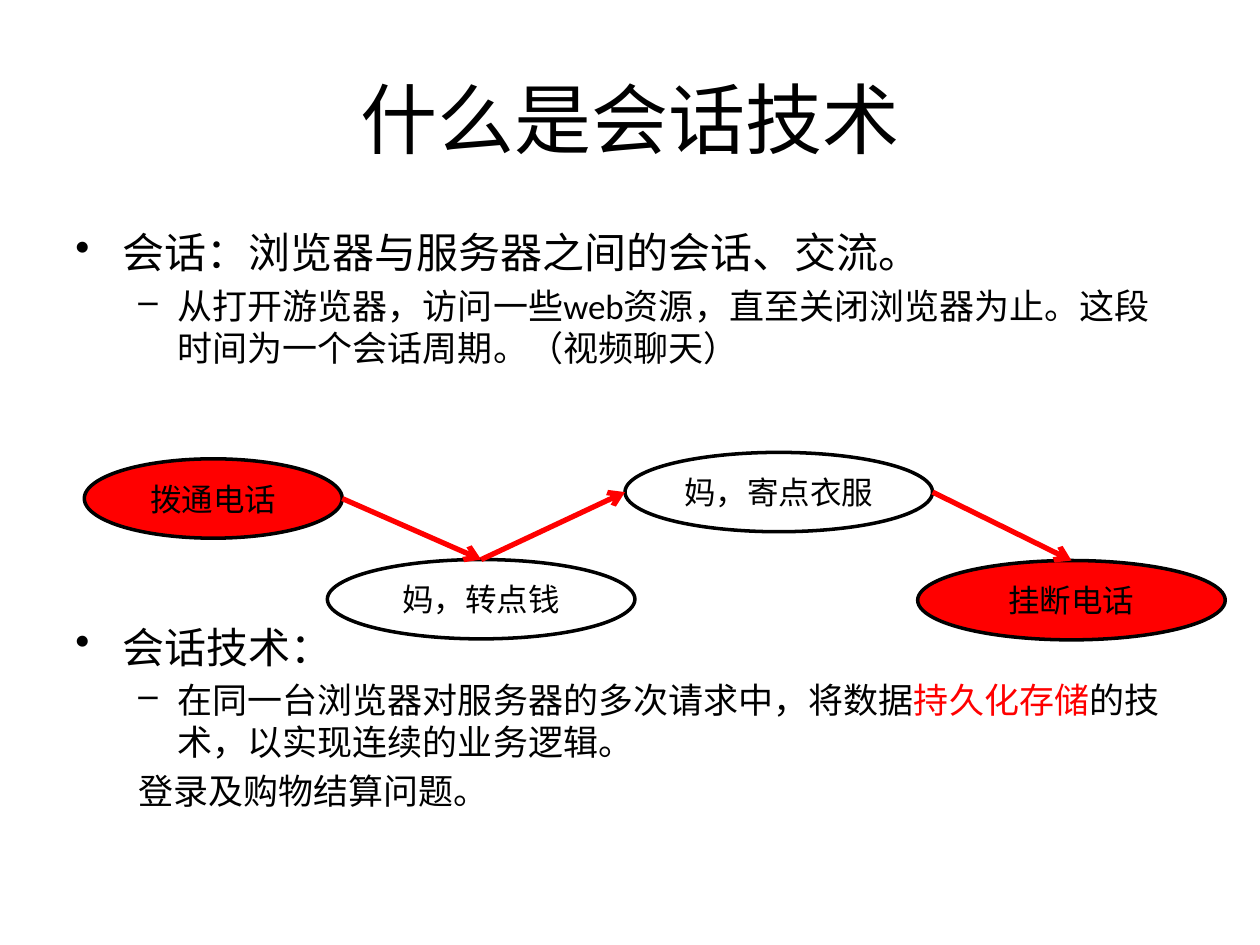
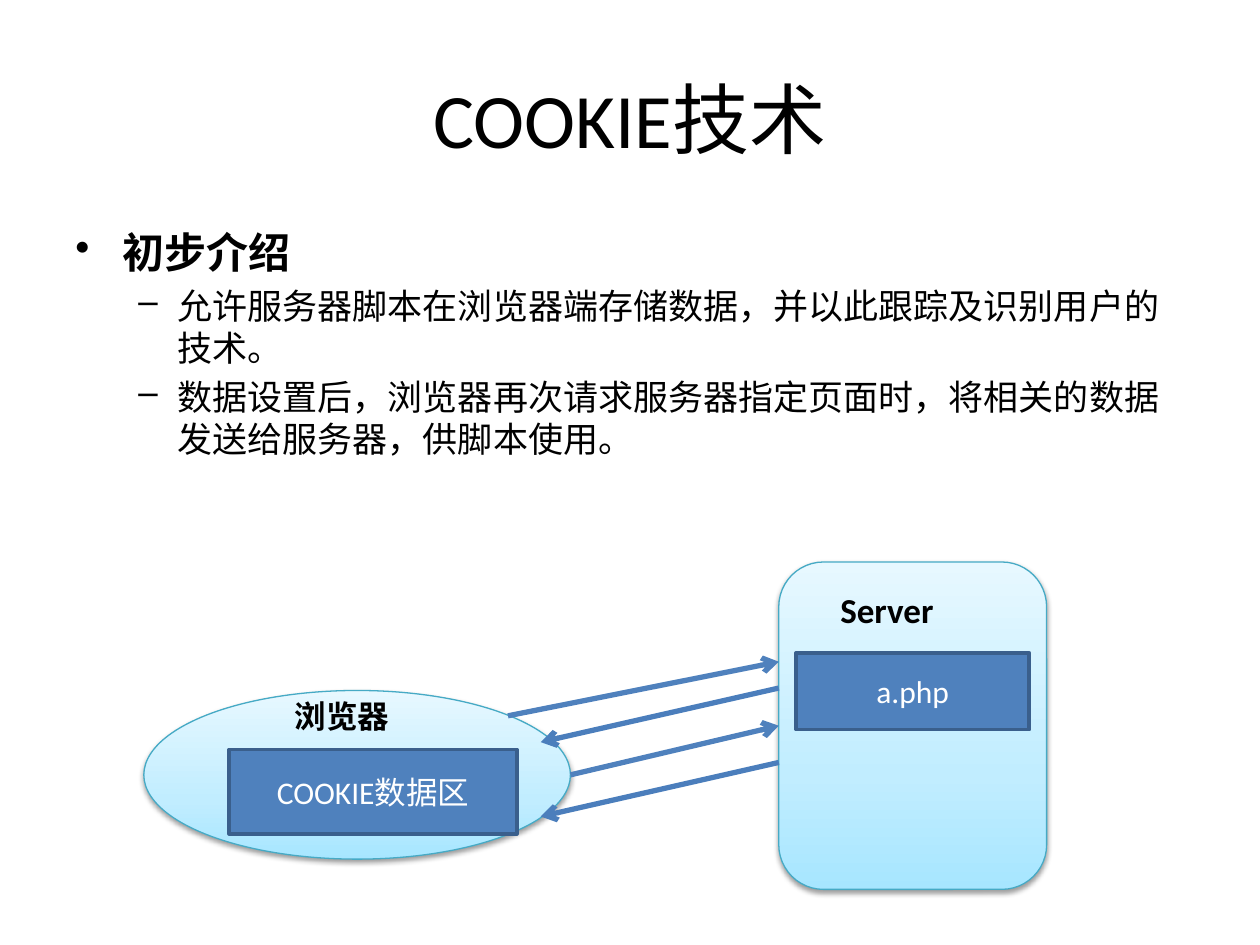
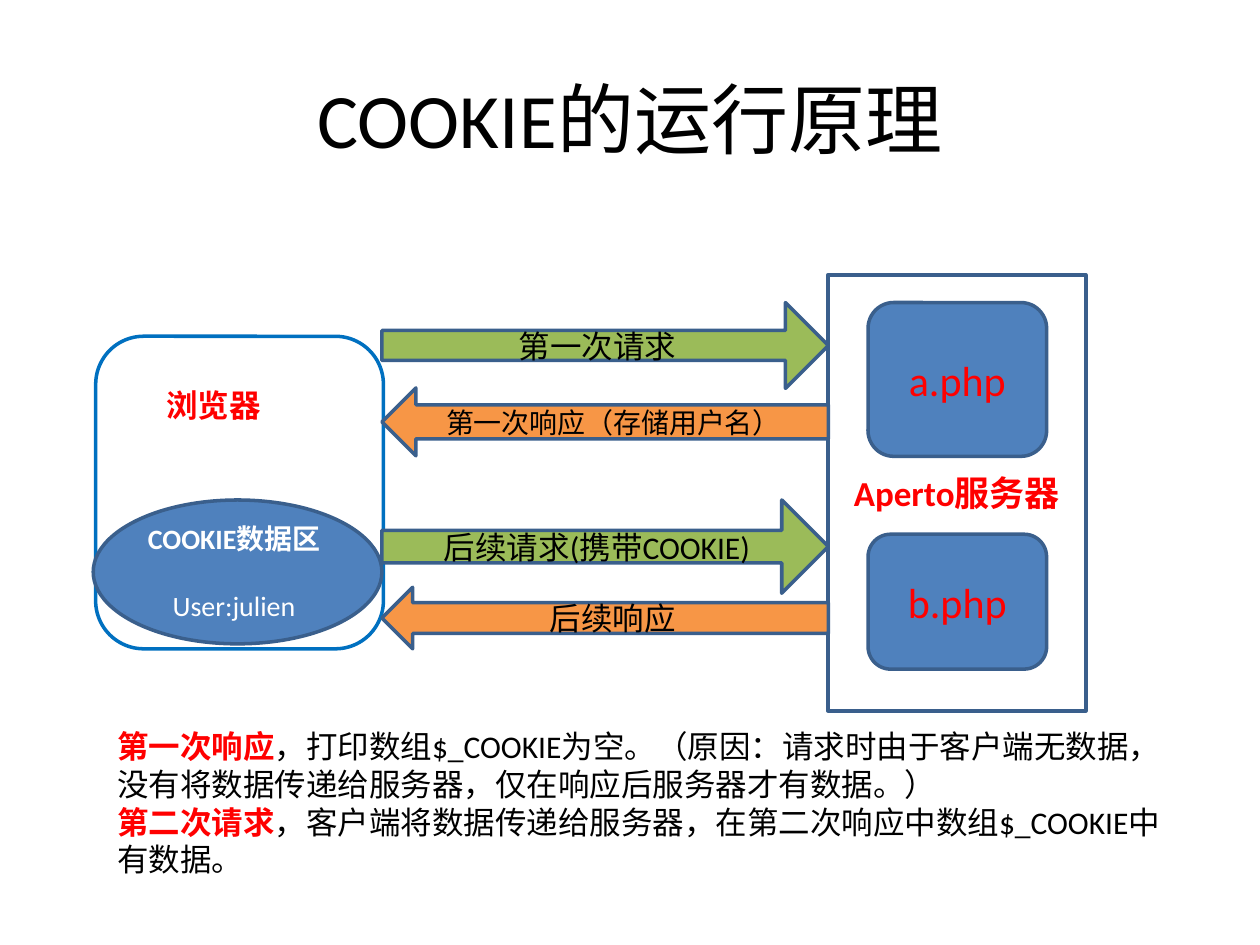
from lxml import etree
from copy import deepcopy
from pptx import Presentation
from pptx.dml.color import RGBColor
from pptx.enum.shapes import MSO_CONNECTOR, MSO_SHAPE as Kind
from pptx.enum.text import MSO_ANCHOR, PP_ALIGN as Align
from pptx.oxml.ns import qn
from pptx.util import Cm, Pt

FONT = "Calibri"
COLORS = {
    "black": "000000", "white": "FFFFFF", "red": "FF0000",
    "blue": "4F81BD", "dark blue": "3A5F8C", "mid blue": "4B7EBC",
    "bright blue": "0070C0", "green": "9BBB59", "orange": "F79646",
    "teal": "46AAC5",
}
GLASS_STOPS = [(0, "A7E6FF"), (0.35, "C1EDFF"), (1, "E7F8FF")]


def style(paragraph, size, color="black", bold=False, align=None):
    """Give a whole paragraph its font and, if named, its alignment."""
    font = paragraph.font
    font.name, font.size, font.bold = FONT, Pt(size), bold
    font.color.rgb = RGBColor.from_string(COLORS[color])
    if align is not None:
        paragraph.alignment = align


def add_shape(slide, kind, box, fill, line, text="", size=18, color="black",
              bold=False, width=2):
    """Add a flat preset shape with centred text; box is in centimetres."""
    shape = slide.shapes.add_shape(kind, *map(Cm, box))
    shape.shadow.inherit = False
    shape.fill.solid()
    shape.fill.fore_color.rgb = RGBColor.from_string(COLORS[fill])
    shape.line.color.rgb = RGBColor.from_string(COLORS[line])
    shape.line.width = Pt(width)
    if text:
        shape.text_frame.text = text
        style(shape.text_frame.paragraphs[0], size, color, bold, Align.CENTER)
    return shape


presentation = Presentation()
presentation.slide_width, presentation.slide_height = Cm(25.4), Cm(19.05)
blank = presentation.slide_layouts[6]
session, cookie, workflow = [presentation.slides.add_slide(blank) for _ in range(3)]

# Titles
for slide, title in [(session, "什么是会话技术"), (cookie, "COOKIE技术"),
                     (workflow, "COOKIE的运行原理")]:
    frame = slide.shapes.add_textbox(Cm(1.27), Cm(1.32), Cm(22.86), Cm(3.18)).text_frame
    frame.word_wrap = True
    frame.text = title
    style(frame.paragraphs[0], 44, align=Align.CENTER)

# Bulleted bodies: level, bullet, runs, bold, space before in points
bodies = [
    (session, [
        (0, "•", [("会话：浏览器与服务器之间的会话、交流。", "black")], False, 4.8),
        (1, "–", [("从打开游览器，访问一些web资源，直至关闭浏览器为止。"
                   "这段时间为一个会话周期。（视频聊天）", "black")], False, 4),
        (0, "•", [("会话技术：", "black")], False, 144.5),
        (1, "–", [("在同一台浏览器对服务器的多次请求中，将数据", "black"),
                  ("持久化存储", "red"),
                  ("的技术，以实现连续的业务逻辑。", "black")], False, 4),
        (1, "", [("登录及购物结算问题。", "black")], False, 4),
    ]),
    (cookie, [
        (0, "•", [("初步介绍", "black")], True, 4.8),
        (1, "–", [("允许服务器脚本在浏览器端存储数据，"
                   "并以此跟踪及识别用户的技术。", "black")], False, 4),
        (1, "–", [("数据设置后，浏览器再次请求服务器指定页面时，"
                   "将相关的数据发送给服务器，供脚本使用。", "black")], False, 4),
    ]),
]
LEVELS = [(24, 0.95, 0.95), (20, 2.06, 0.79)]  # size, left margin, hanging indent
for slide, items in bodies:
    frame = slide.shapes.add_textbox(Cm(1.27), Cm(4.45), Cm(22.86), Cm(12.57)).text_frame
    frame.word_wrap = True
    for index, (level, bullet, runs, bold, space) in enumerate(items):
        paragraph = frame.add_paragraph() if index else frame.paragraphs[0]
        size, margin, hanging = LEVELS[level]
        paragraph.level = level
        paragraph.space_before = Pt(space)
        style(paragraph, size, bold=bold)
        for text, color in runs:
            run = paragraph.add_run()
            run.text = text
            if color != "black":
                run.font.color.rgb = RGBColor.from_string(COLORS[color])
        properties = paragraph._p.get_or_add_pPr()
        properties.set("marL", str(Cm(margin if bullet else 1.27)))
        properties.set("indent", str(-Cm(hanging) if bullet else 0))
        if bullet:
            mark = etree.Element(qn("a:buChar"), char=bullet)
            properties.find(qn("a:defRPr")).addprevious(mark)

# Session: a phone call as a chain of ellipses
dial, money, clothes, hang_up = [
    add_shape(session, Kind.OVAL, (left, top, width, 1.6), fill, "black", text)
    for left, top, width, fill, text in [
        (1.7, 9.25, 5.2, "red", "拨通电话"),
        (6.6, 11.28, 6.2, "white", "妈，转点钱"),
        (12.6, 9.12, 6.2, "white", "妈，寄点衣服"),
        (18.5, 11.3, 6.2, "red", "挂断电话"),
    ]]

# Cookie: browser and server
browser = add_shape(cookie, Kind.OVAL, (2.9, 13.92, 8.6, 3.4), "white", "teal", width=0.75)
server = add_shape(cookie, Kind.ROUNDED_RECTANGLE, (15.7, 11.33, 5.4, 6.6),
                   "white", "teal", width=0.75)
for shape in (browser, server):
    shape.fill.gradient()
    shape.fill.gradient_angle = 90
    stop_list = shape.element.spPr.find(qn("a:gradFill")).find(qn("a:gsLst"))
    stop_list.append(deepcopy(stop_list[-1]))
    for stop, (position, color) in zip(shape.fill.gradient_stops, GLASS_STOPS):
        stop.position = position
        stop.color.rgb = RGBColor.from_string(color)
    effects = shape.element.spPr.find(qn("a:effectLst"))
    shadow = etree.SubElement(effects, qn("a:outerShdw"), blurRad=str(Pt(3.1)),
                              dist=str(Pt(1.6)), dir="5400000", rotWithShape="0")
    shade = etree.SubElement(shadow, qn("a:srgbClr"), val=COLORS["black"])
    etree.SubElement(shade, qn("a:alpha"), val="38000")
for box, text in [((4.62, 15.11, 5.8, 1.7), "COOKIE数据区"),
                  ((16.05, 13.16, 4.7, 1.55), "a.php")]:
    add_shape(cookie, Kind.RECTANGLE, box, "blue", "dark blue", text, color="white")

# Workflow: browser, server, and the requests and responses between them
add_shape(workflow, Kind.ROUNDED_RECTANGLE, (1.93, 6.78, 5.8, 6.3), "white", "bright blue")
add_shape(workflow, Kind.RECTANGLE, (16.69, 5.54, 5.2, 8.79), "white", "dark blue",
          "Aperto服务器", 20, "red", True)
for top, height, text in [(6.1, 3.1, "a.php"), (10.77, 2.72, "b.php")]:
    add_shape(workflow, Kind.ROUNDED_RECTANGLE, (17.5, top, 3.6, height),
              "blue", "dark blue", text, 24, "red")

store = add_shape(workflow, Kind.OVAL, (1.88, 10.08, 5.82, 2.9), "blue", "dark blue")
store.text_frame.text = "COOKIE数据区\nUser:julien"
heading, user = store.text_frame.paragraphs
style(heading, 16, "white", True, Align.LEFT)
style(user, 16, "white", align=Align.LEFT)
user.space_before = Pt(19.5)
user._p.get_or_add_pPr().set("marL", str(Cm(0.5)))

for kind, top, height, text, size in [
    (Kind.RIGHT_ARROW, 6.1, 1.73, "第一次请求", 18),
    (Kind.LEFT_ARROW, 7.82, 1.37, "第一次响应（存储用户名）", 16),
    (Kind.RIGHT_ARROW, 10.08, 1.88, "后续请求(携带COOKIE)", 18),
    (Kind.LEFT_ARROW, 11.84, 1.24, "后续响应", 18),
]:
    request = kind == Kind.RIGHT_ARROW
    arrow = add_shape(workflow, kind, (7.7, top, 9, height),
                      "green" if request else "orange", "dark blue", text, size)
    if request:
        arrow.adjustments[0] = 0.35

frame = workflow.shapes.add_textbox(Cm(2.11), Cm(14.53), Cm(21.8), Cm(3.33)).text_frame
frame.word_wrap = True
explanations = [
    ("第一次响应", "，打印数组$_COOKIE为空。（原因：请求时由于客户端无数据，"
                   "没有将数据传递给服务器，仅在响应后服务器才有数据。）"),
    ("第二次请求", "，客户端将数据传递给服务器，在第二次响应中数组$_COOKIE中有数据。"),
]
for index, (term, explanation) in enumerate(explanations):
    paragraph = frame.add_paragraph() if index else frame.paragraphs[0]
    style(paragraph, 18)
    run = paragraph.add_run()
    run.text = term
    run.font.bold = True
    run.font.color.rgb = RGBColor.from_string(COLORS["red"])
    paragraph.add_run().text = explanation

# Labels on the browsers and the server
for slide, box, text, size, color in [
    (cookie, (16.69, 11.73, 3.2, 1.12), "Server", 20, "black"),
    (cookie, (5.69, 13.92, 3.4, 1.02), "浏览器", 18, "black"),
    (workflow, (3.1, 7.65, 3, 1.02), "浏览器", 18, "red"),
]:
    frame = slide.shapes.add_textbox(*map(Cm, box)).text_frame
    frame.word_wrap = True
    frame.vertical_anchor = MSO_ANCHOR.TOP
    frame.text = text
    style(frame.paragraphs[0], size, color, True)

# Thin arrows: slide, start, end, colour, then shape and site joined at start and end
for slide, start, end, color, begin_join, end_join in [
    (session, (6.9, 10.05), (9.7, 11.28), "red", None, (money, 0)),
    (session, (18.8, 9.92), (21.6, 11.3), "red", None, (hang_up, 0)),
    (session, (9.7, 11.28), (12.6, 9.92), "red", (money, 0), None),
    (cookie, (10.24, 14.43), (15.7, 13.34), "blue", None, None),
    (cookie, (15.7, 13.87), (10.9, 14.96), "mid blue", None, None),
    (cookie, (11.5, 15.62), (15.7, 14.63), "blue", None, (server, 1)),
    (cookie, (15.7, 15.37), (10.9, 16.46), "mid blue", None, None),
]:
    connector = slide.shapes.add_connector(MSO_CONNECTOR.STRAIGHT, *map(Cm, start + end))
    connector.line.color.rgb = RGBColor.from_string(COLORS[color])
    connector.line.width = Pt(3)
    if begin_join:
        connector.begin_connect(*begin_join)
    if end_join:
        connector.end_connect(*end_join)
    etree.SubElement(connector.line._get_or_add_ln(), qn("a:tailEnd"), type="arrow")
    etree.SubElement(connector._element.spPr, qn("a:effectLst"))

presentation.save("out.pptx")
